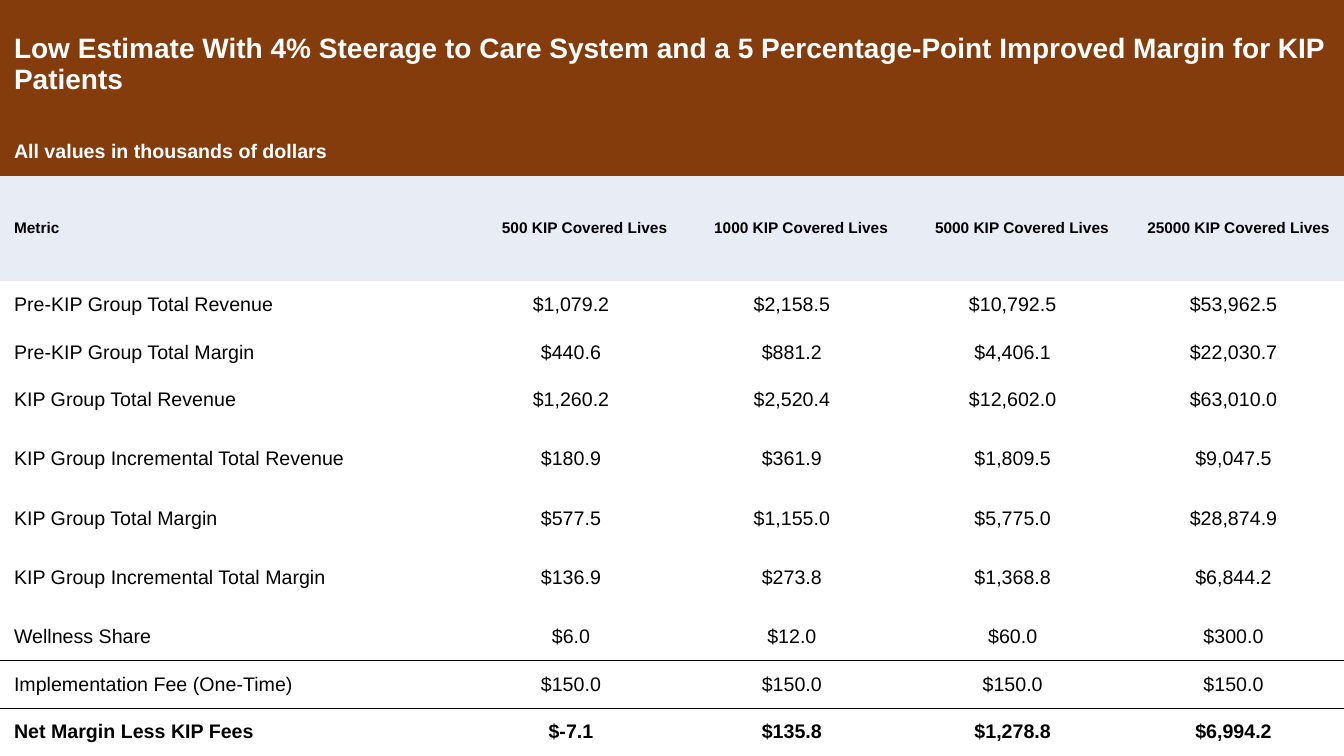
from lxml.etree import SubElement
from pptx import Presentation
from pptx.dml.color import RGBColor
from pptx.enum.text import MSO_ANCHOR, PP_ALIGN
from pptx.oxml.ns import qn
from pptx.util import Pt

# Content
TITLE = ("Low Estimate With 4% Steerage to Care System and a 5 Percentage-Point "
         "Improved Margin for KIP Patients")
NOTE = "All values in thousands of dollars"
LIVES = [500, 1000, 5000, 25000]
DATA = [
    ("Pre-KIP Group Total Revenue", "$1,079.2", "$2,158.5", "$10,792.5", "$53,962.5"),
    ("Pre-KIP Group Total Margin", "$440.6", "$881.2", "$4,406.1", "$22,030.7"),
    ("KIP Group Total Revenue", "$1,260.2", "$2,520.4", "$12,602.0", "$63,010.0"),
    ("KIP Group Incremental Total Revenue", "$180.9", "$361.9", "$1,809.5", "$9,047.5"),
    ("KIP Group Total Margin", "$577.5", "$1,155.0", "$5,775.0", "$28,874.9"),
    ("KIP Group Incremental Total Margin", "$136.9", "$273.8", "$1,368.8", "$6,844.2"),
    ("Wellness Share", "$6.0", "$12.0", "$60.0", "$300.0"),
    ("Implementation Fee (One-Time)", "$150.0", "$150.0", "$150.0", "$150.0"),
    ("Net Margin Less KIP Fees", "$-7.1", "$135.8", "$1,278.8", "$6,994.2"),
]
HEAD = ["Metric"] + [f"{count} KIP Covered Lives" for count in LIVES]
ROWS = [[TITLE], [NOTE], HEAD, *DATA]

# Look
BROWN = RGBColor(0x84, 0x3C, 0x0C)
PALE = RGBColor(0xE7, 0xEC, 0xF5)
WHITE = RGBColor(255, 255, 255)
BLACK = RGBColor(0, 0, 0)
LEFT, MID, RIGHT = PP_ALIGN.LEFT, PP_ALIGN.CENTER, PP_ALIGN.RIGHT
# Size, bold, text colour, fill, alignment of the value columns
TOP = [(20, True, WHITE, BROWN, LEFT),
       (14, True, WHITE, BROWN, LEFT),
       (11, True, BLACK, PALE, RIGHT)]
BODY = (14, False, BLACK, None, MID)
TOTAL = (14, True, BLACK, None, MID)
LOOKS = TOP + [BODY] * (len(DATA) - 1) + [TOTAL]
PLAIN = "{2D5ABB26-0587-4C30-8999-92F81FD0307C}"  # no style, no grid

# Measures
WIDE, HIGH = 960, 540
FIRST = 329
STEP = (WIDE - FIRST) / len(LIVES)
SHORT, TALL = 34.05, 50.5
HEIGHTS = [SHORT] * len(ROWS)
HEIGHTS[0], HEIGHTS[2] = 91.5, 75.1
HEIGHTS[6] = HEIGHTS[8] = TALL
RULES = {9: "a:lnB", 10: "a:lnT"}  # the line above the one-time fee


def rule(cell, side):
    line = SubElement(cell._tc.get_or_add_tcPr(), qn(side), w=str(Pt(1)))
    fill = SubElement(line, qn("a:solidFill"))
    SubElement(fill, qn("a:srgbClr"), val=str(BLACK))


def write(cell, text, look, align):
    size, bold, color, fill, _ = look
    cell.margin_left = cell.margin_right = cell.margin_top = cell.margin_bottom = 0
    cell.vertical_anchor = MSO_ANCHOR.MIDDLE
    if fill is None:
        cell.fill.background()
    else:
        cell.fill.solid()
        cell.fill.fore_color.rgb = fill
    para = cell.text_frame.paragraphs[0]
    para.text = text
    para.alignment = align
    props = para._p.get_or_add_pPr()
    for side in ("marL", "marR"):
        props.set(side, str(Pt(10)))
    font = para.font
    font.name, font.size, font.bold = "Arial", Pt(size), bold
    font.color.rgb = color


# Slide
deck = Presentation()
deck.slide_width, deck.slide_height = Pt(WIDE), Pt(HIGH)
slide = deck.slides.add_slide(deck.slide_layouts[6])

# Table grid
table = slide.shapes.add_table(len(ROWS), len(HEAD), 0, 0, Pt(WIDE), Pt(HIGH)).table
table.first_row = table.horz_banding = False
table._tbl.tblPr.find(qn("a:tableStyleId")).text = PLAIN
for col, width in zip(table.columns, [FIRST] + [STEP] * len(LIVES)):
    col.width = Pt(width)
for row, height in zip(table.rows, HEIGHTS):
    row.height = Pt(height)

# Cells
for r, (texts, look) in enumerate(zip(ROWS, LOOKS)):
    if len(texts) == 1:
        table.cell(r, 0).merge(table.cell(r, len(HEAD) - 1))
    for c, text in enumerate(texts):
        cell = table.cell(r, c)
        if r in RULES:
            rule(cell, RULES[r])
        write(cell, text, look, look[4] if c else LEFT)

deck.save("out.pptx")
